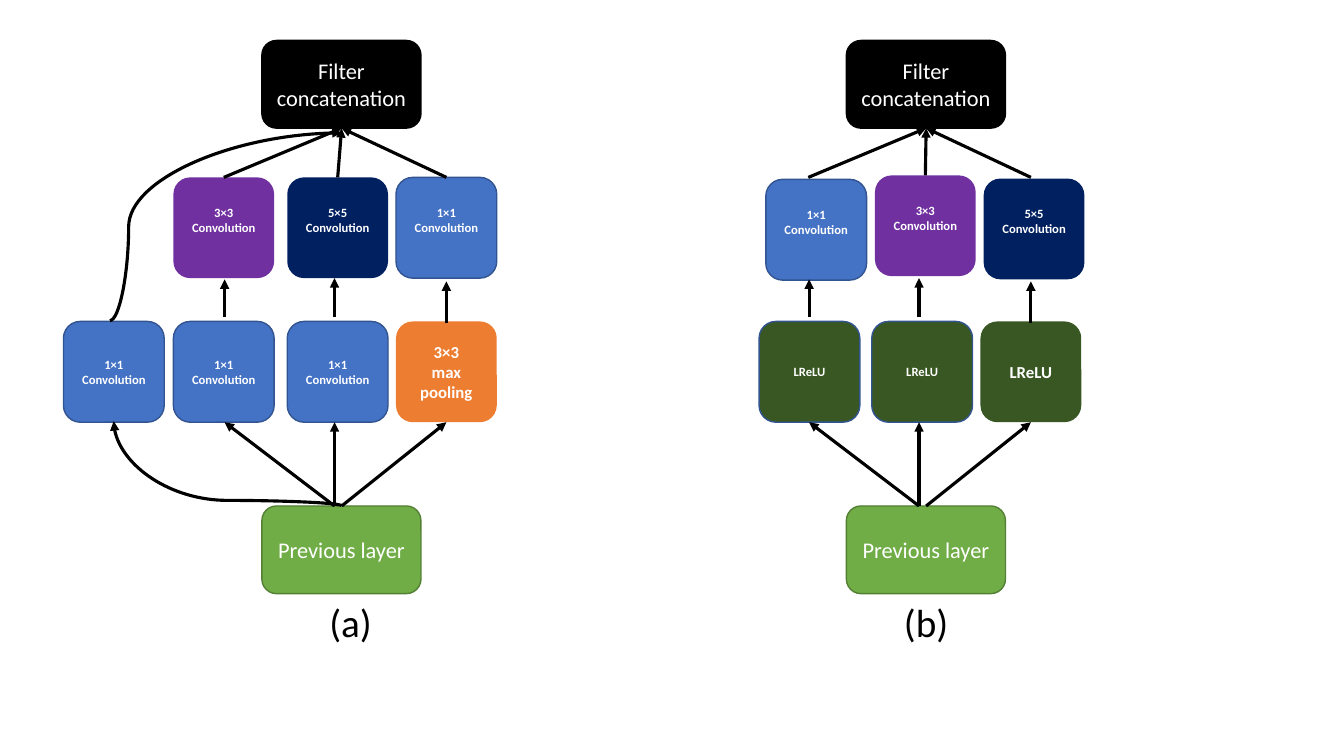
"""Build a slide comparing two network modules, (a) and (b)."""
from dataclasses import dataclass

from lxml import etree
from pptx import Presentation
from pptx.dml.color import RGBColor
from pptx.enum.shapes import MSO_CONNECTOR, MSO_SHAPE
from pptx.enum.text import MSO_ANCHOR, MSO_AUTO_SIZE, PP_ALIGN
from pptx.oxml.ns import qn
from pptx.slide import Slide
from pptx.util import Cm, Pt

ROUNDED = MSO_SHAPE.ROUNDED_RECTANGLE
STRAIGHT, CURVE = MSO_CONNECTOR.STRAIGHT, MSO_CONNECTOR.CURVE
MIDDLE, CENTER = MSO_ANCHOR.MIDDLE, PP_ALIGN.CENTER
GROW = MSO_AUTO_SIZE.SHAPE_TO_FIT_TEXT

FONT = "Calibri"
COLORS = {
    "black": "000000", "white": "FFFFFF", "blue": "4472C4", "blue_edge": "325491",
    "navy": "002060", "purple": "7030A0", "orange": "ED7D31",
    "green": "70AD47", "green_edge": "538035", "forest": "385723",
}
PANEL_STEP = 14.73
UNIT = 2.54
LOWER_TOP, UPPER_TOP = 8.1, 4.47
RAISED_INSET = 0.51


@dataclass(frozen=True)
class Block:
    """A rounded block of the network, in centimetres and points."""
    left: float
    top: float
    text: str
    fill: str
    edge: str | None = None
    size: int = 9
    bold: bool = True
    raised: bool = False
    width: float = UNIT
    height: float = UNIT


@dataclass(frozen=True)
class Arrow:
    """An arrow between two points, with an optional curve bend and rotation."""
    x1: float
    y1: float
    x2: float
    y2: float
    bend: int | None = None
    rotation: int = 0

    def moved(self, dx: float) -> "Arrow":
        """Return the same arrow shifted sideways."""
        return Arrow(self.x1 + dx, self.y1, self.x2 + dx, self.y2)


def end_block(left: float, top: float, text: str, fill: str, edge: str) -> Block:
    """Describe a wide block at the top or bottom of a module."""
    return Block(left, top, text, fill, edge, 16, False, False, 4.01, 2.21)


def convolution(left: float, top: float, kernel: int, raised: bool = True) -> Block:
    """Describe a convolution coloured by its kernel size."""
    fill, edge = {1: ("blue", "blue_edge"), 3: ("purple", None), 5: ("navy", None)}[kernel]
    return Block(left, top, f"{kernel}×{kernel}\nConvolution", fill, edge, raised=raised)


def relu(left: float, edge: str | None, size: int) -> Block:
    """Describe an activation block."""
    return Block(left, LOWER_TOP, "LReLU", "forest", edge, size)


BLOCKS = [
    *(convolution(left, LOWER_TOP, 1, raised=False) for left in (1.6, 4.37, 7.24)),
    Block(9.98, LOWER_TOP, "3×3\nmax pooling", "orange", size=12),
    convolution(4.37, UPPER_TOP, 3),
    convolution(7.24, UPPER_TOP, 5),
    convolution(9.98, UPPER_TOP, 1),
    relu(19.13, "blue_edge", 9),
    relu(21.97, "blue_edge", 9),
    relu(24.71, None, 12),
    convolution(19.3, 4.52, 1),
    convolution(22.05, 4.42, 3),
    convolution(24.79, 4.5, 5),
]
SHARED_ARROWS = [
    Arrow(8.43, 12.75, 8.43, 10.64),
    Arrow(8.61, 12.75, 11.25, 10.64),
    Arrow(8.43, 12.75, 5.66, 10.64),
    Arrow(5.66, 8.0, 5.66, 7.04),
    Arrow(8.43, 7.98, 8.43, 7.01),
    Arrow(11.25, 8.15, 11.25, 7.09),
    Arrow(11.25, 4.47, 8.61, 3.23),
    Arrow(5.64, 4.47, 8.61, 3.23),
]
OWN_ARROWS = [
    Arrow(8.51, 4.47, 8.61, 3.23),
    Arrow(23.32, 4.42, 23.34, 3.23),
    Arrow(4.67, 14.55, 6.8, 8.81, bend=6300, rotation=270),
    Arrow(2.77, 8.08, 8.61, 3.35, bend=8100),
]
CAPTIONS = {"(a)": 8.05, "(b)": 22.53}


def rgb(name: str) -> RGBColor:
    """Look up a named colour."""
    return RGBColor.from_string(COLORS[name])


def draw_block(slide: Slide, block: Block) -> None:
    """Draw a rounded block with its label."""
    shape = slide.shapes.add_shape(
        ROUNDED, Cm(block.left), Cm(block.top), Cm(block.width), Cm(block.height))
    shape.shadow.inherit = False
    shape.fill.solid()
    shape.fill.fore_color.rgb = rgb(block.fill)
    if block.edge:
        shape.line.color.rgb = rgb(block.edge)
        shape.line.width = Pt(1)
    else:
        shape.line.fill.background()
    frame = shape.text_frame
    frame.text = block.text
    frame.word_wrap = True
    frame.vertical_anchor = MIDDLE
    if block.raised:
        frame.margin_bottom = Cm(RAISED_INSET)
    for paragraph in frame.paragraphs:
        paragraph.alignment = CENTER
        paragraph.font.name = FONT
        paragraph.font.size = Pt(block.size)
        paragraph.font.bold = block.bold
        paragraph.font.color.rgb = rgb("white")


def draw_arrow(slide: Slide, arrow: Arrow) -> None:
    """Draw a black arrow, curved when it has a bend."""
    kind = STRAIGHT if arrow.bend is None else CURVE
    connector = slide.shapes.add_connector(
        kind, Cm(arrow.x1), Cm(arrow.y1), Cm(arrow.x2), Cm(arrow.y2))
    connector.line.color.rgb = rgb("black")
    connector.line.width = Pt(2.25)
    properties = connector._element.spPr
    etree.SubElement(properties.find(qn("a:ln")), qn("a:tailEnd"), type="triangle")
    etree.SubElement(properties, qn("a:effectLst"))
    if arrow.bend is not None:
        guides = properties.find(qn("a:prstGeom")).find(qn("a:avLst"))
        etree.SubElement(guides, qn("a:gd"), name="adj1", fmla=f"val {arrow.bend}")
    if arrow.rotation:
        properties.find(qn("a:xfrm")).set("rot", str(arrow.rotation * 60000))


def draw_caption(slide: Slide, text: str, left: float) -> None:
    """Draw the letter under a module."""
    caption = slide.shapes.add_textbox(Cm(left), Cm(14.96), Cm(6.3), Cm(1.45))
    frame = caption.text_frame
    frame.word_wrap = True
    frame.auto_size = GROW
    frame.text = text
    font = frame.paragraphs[0].font
    font.name, font.size = FONT, Pt(28)
    font.color.rgb = rgb("black")


def main() -> None:
    """Build and save the slide."""
    presentation = Presentation()
    presentation.slide_width, presentation.slide_height = Cm(33.87), Cm(19.05)
    slide = presentation.slides.add_slide(presentation.slide_layouts[6])
    for block in BLOCKS:
        draw_block(slide, block)
    for shift in (0, PANEL_STEP):
        draw_block(slide, end_block(6.6 + shift, 12.75, "Previous layer", "green", "green_edge"))
        draw_block(slide, end_block(6.6 + shift, 1.02, "Filter concatenation", "black", "black"))
        for arrow in SHARED_ARROWS:
            draw_arrow(slide, arrow.moved(shift))
    for arrow in OWN_ARROWS:
        draw_arrow(slide, arrow)
    for text, left in CAPTIONS.items():
        draw_caption(slide, text, left)
    presentation.save("out.pptx")


if __name__ == "__main__":
    main()
